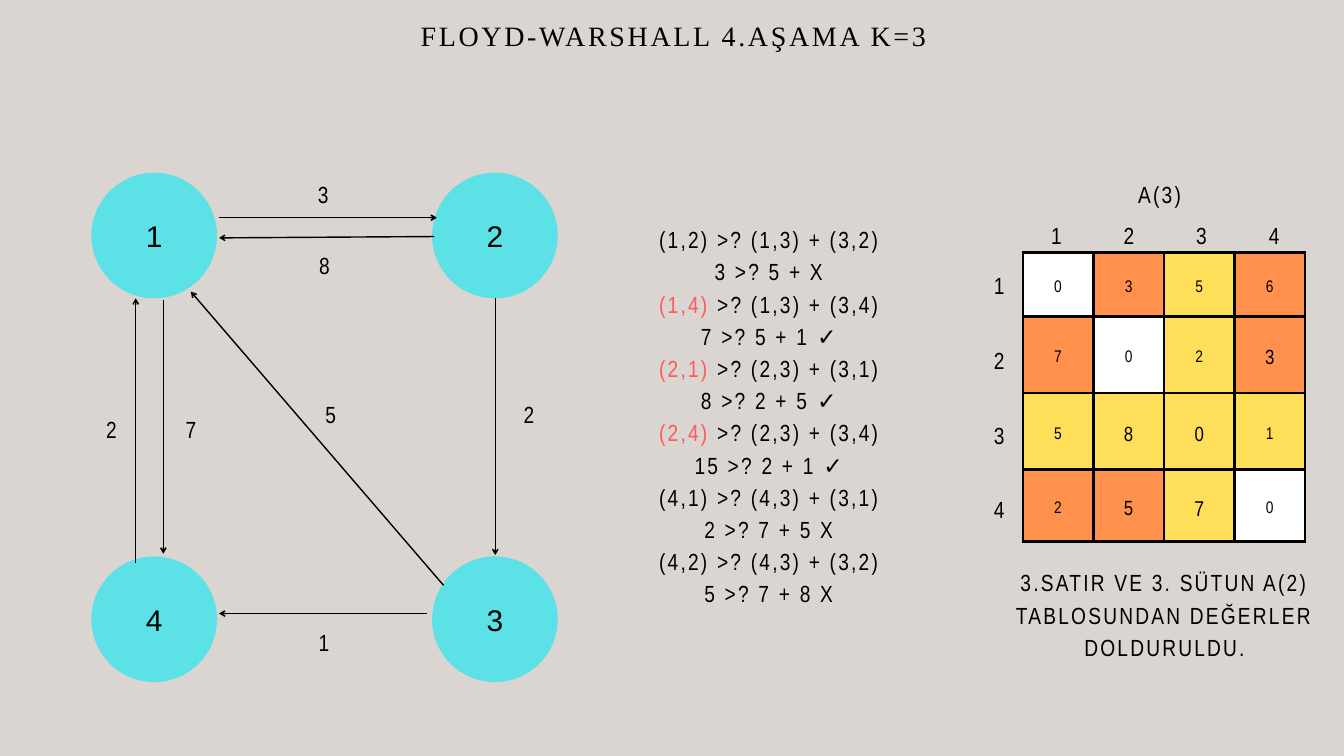
from lxml import etree
from pptx import Presentation
from pptx.dml.color import RGBColor
from pptx.enum.shapes import MSO_CONNECTOR, MSO_SHAPE
from pptx.enum.text import MSO_ANCHOR, MSO_AUTO_SIZE, PP_ALIGN
from pptx.oxml.ns import qn
from pptx.util import Inches, Pt

CENTER = PP_ALIGN.CENTER
MIDDLE = MSO_ANCHOR.MIDDLE
TOP = MSO_ANCHOR.TOP
NO_FIT = MSO_AUTO_SIZE.NONE
OVAL = MSO_SHAPE.OVAL
STRAIGHT = MSO_CONNECTOR.STRAIGHT

COLORS = {
    "background": "DAD5D1", "ink": "000000", "node": "5CE1E6", "updated": "FF5959",
    "diagonal": "FFFFFF", "pivot": "FFDE59", "other": "FF914D",
}
TITLE = "FLOYD-WARSHALL 4.AŞAMA K=3"
CAPTION = "3.SATIR VE 3. SÜTUN A(2) TABLOSUNDAN DEĞERLER DOLDURULDU."
COMPARISONS = [
    ("(1,2)", " >? (1,3) + (3,2)", "3 >? 5 + X", False),
    ("(1,4)", " >? (1,3) + (3,4)", "7 >? 5 + 1 ✓", True),
    ("(2,1)", " >? (2,3) + (3,1)", "8 >? 2 + 5 ✓", True),
    ("(2,4)", " >? (2,3) + (3,4)", "15 >? 2 + 1 ✓", True),
    ("(4,1)", " >? (4,3) + (3,1)", "2 >? 7 + 5 X", False),
    ("(4,2)", " >? (4,3) + (3,2)", "5 >? 7 + 8 X", False),
]
NODES = [("1", 1.36, 2.57), ("2", 6.43, 2.57), ("3", 6.43, 8.28), ("4", 1.36, 8.28)]
NODE_SIZE = 1.87
EDGES = [
    (3.26, 3.24, 6.5, 3.24), (6.46, 3.52, 3.26, 3.54), (6.6, 8.71, 2.84, 4.34),
    (7.37, 4.44, 7.37, 8.26), (2.43, 4.46, 2.43, 8.24), (6.35, 9.13, 3.26, 9.13),
    (2.02, 8.38, 2.02, 4.44),
]
WEIGHTS = [
    ("7", 2.84, 6.11), ("2", 1.66, 6.11), ("8", 4.83, 3.67), ("3", 4.81, 2.62),
    ("5", 4.92, 5.9), ("1", 4.82, 9.28), ("2", 7.87, 5.9),
]
DISTANCES = [[0, 3, 5, 6], [7, 0, 2, 3], [5, 8, 0, 1], [2, 5, 7, 0]]
CELL_SIZES = [[18, 18, 18, 18], [18, 18, 18, 22], [18, 22, 22, 18], [18, 22, 23, 18]]
ROW_HEIGHTS = [0.95, 1.14, 1.14, 1.07]
COLUMN_WIDTH = 1.05
PIVOT = 2


def color(name):
    return RGBColor.from_string(COLORS[name])


def style(para, size, font="Arial Narrow", spacing=0, leading=None):
    para.alignment = CENTER
    para.space_before = Pt(0)
    if leading:
        para.line_spacing = Pt(leading)
    para.font.size = Pt(size)
    para.font.name = font
    para.font.color.rgb = color("ink")
    if spacing:
        para._p.pPr.find(qn("a:defRPr")).set("spc", str(spacing))


def place(box, left, top, width, height, wrap=True):
    box.left, box.top = Inches(left), Inches(top)
    box.width, box.height = Inches(width), Inches(height)
    frame = box.text_frame
    frame.margin_left = frame.margin_right = frame.margin_top = frame.margin_bottom = 0
    frame.auto_size = NO_FIT
    frame.vertical_anchor = TOP
    frame.word_wrap = wrap
    return frame


def add_label(page, text, left, top, width, height=0.46, wrap=False):
    box = page.shapes.add_textbox(0, 0, 0, 0)
    frame = place(box, left, top, width, height, wrap)
    frame.text = text
    style(frame.paragraphs[0], 25, spacing=240, leading=34.5)


def add_digit(page, text, center, top):
    add_label(page, text, center - 0.1, top, 0.2)


def add_graph(page):
    for name, left, top in NODES:
        node = page.shapes.add_shape(
            OVAL, Inches(left), Inches(top), Inches(NODE_SIZE), Inches(NODE_SIZE))
        node.shadow.inherit = False
        node.fill.solid()
        node.fill.fore_color.rgb = color("node")
        node.line.fill.background()
        node.text_frame.text = name
        node.text_frame.vertical_anchor = MIDDLE
        style(node.text_frame.paragraphs[0], 32, "Arial")
    for ends in EDGES:
        edge = page.shapes.add_connector(STRAIGHT, *map(Inches, ends))
        edge.line.color.rgb = color("ink")
        edge.line.width = Pt(1.5)
        etree.SubElement(edge.line._get_or_add_ln(), qn("a:tailEnd"), type="arrow")
        etree.SubElement(edge._element.spPr, qn("a:effectLst"))
    for weight in WEIGHTS:
        add_digit(page, *weight)


def add_borders(cell):
    properties = cell._tc.get_or_add_tcPr()
    for index, side in enumerate(("lnL", "lnR", "lnT", "lnB")):
        border = etree.Element(qn(f"a:{side}"), w=str(Pt(3)))
        fill = etree.SubElement(border, qn("a:solidFill"))
        etree.SubElement(fill, qn("a:srgbClr"), val=COLORS["ink"])
        properties.insert(index, border)


def add_matrix(page):
    count = len(DISTANCES)
    table = page.shapes.add_table(
        count, count, Inches(15.22), Inches(3.76),
        Inches(COLUMN_WIDTH * count), Inches(sum(ROW_HEIGHTS))).table
    table.first_row = table.horz_banding = False
    for row, height in enumerate(ROW_HEIGHTS):
        table.rows[row].height = Inches(height)
        table.columns[row].width = Inches(COLUMN_WIDTH)
        for column, value in enumerate(DISTANCES[row]):
            cell = table.cell(row, column)
            cell.text = str(value)
            cell.vertical_anchor = MIDDLE
            cell.margin_left = cell.margin_right = Inches(0.21)
            cell.margin_top = cell.margin_bottom = Inches(0.21)
            kind = ("pivot" if PIVOT in (row, column)
                    else "diagonal" if row == column else "other")
            cell.fill.solid()
            cell.fill.fore_color.rgb = color(kind)
            add_borders(cell)
            size = CELL_SIZES[row][column]
            style(cell.text_frame.paragraphs[0], size, leading=size * 1.4)
        add_digit(page, str(row + 1), 15.72 + 1.08 * row, 3.23)
        add_digit(page, str(row + 1), 14.87, 3.98 + 1.11 * row)
    add_label(page, "A(3)", 16.92, 2.62, 0.67)
    add_label(page, CAPTION, 14.77, 8.4, 5.12, 1.4, wrap=True)


def add_comparisons(body):
    frame = place(body, 9.8, 3.29, 3.28, 5.75, wrap=False)
    paras = frame.paragraphs
    for index, (pair, route, check, updated) in enumerate(COMPARISONS):
        heading = frame.add_paragraph() if index else paras[0]
        span = heading.add_run()
        span.text = pair
        if updated:
            span.font.color.rgb = color("updated")
        heading.add_run().text = route
        result = frame.add_paragraph()
        result.add_run().text = check
        for para in (heading, result):
            properties = para._p.get_or_add_pPr()
            properties.set("marL", "0")
            properties.set("indent", "0")
            etree.SubElement(properties, qn("a:buNone"))
            style(para, 25, spacing=240, leading=34.5)


def main():
    deck = Presentation()
    deck.slide_width, deck.slide_height = Inches(20), Inches(11.25)
    page = deck.slides.add_slide(deck.slide_layouts[1])
    page.background.fill.solid()
    page.background.fill.fore_color.rgb = color("background")
    title, body = page.placeholders
    frame = place(title, 5.65, 0.2, 8.75, 0.55)
    frame.text = TITLE
    style(frame.paragraphs[0], 30, "Times New Roman", 290, 41.4)
    add_graph(page)
    add_matrix(page)
    add_comparisons(body)
    deck.save("out.pptx")


if __name__ == "__main__":
    main()
